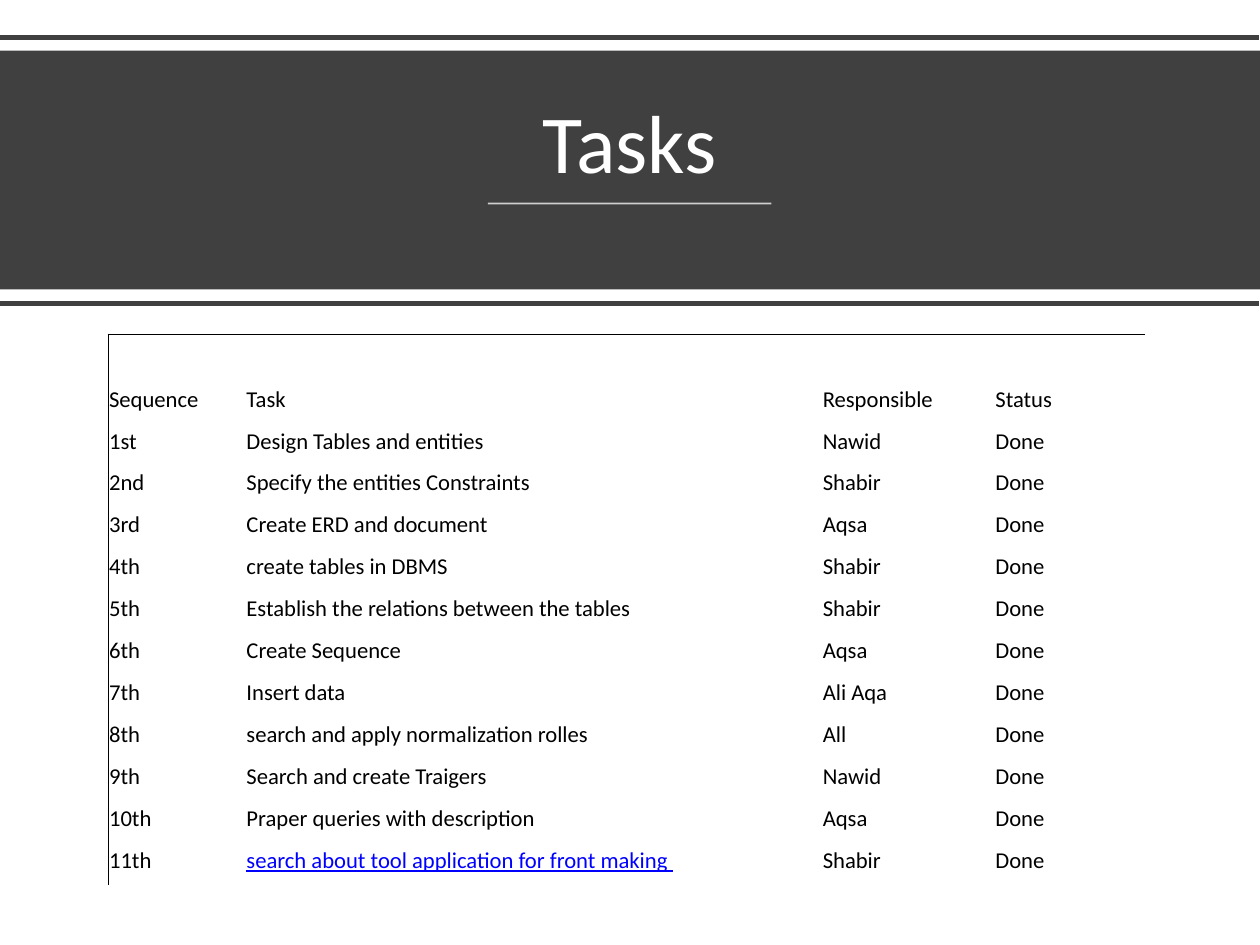
from dataclasses import dataclass

from lxml.etree import SubElement
from pptx import Presentation
from pptx.dml.color import RGBColor
from pptx.enum.shapes import MSO_CONNECTOR, MSO_SHAPE
from pptx.enum.text import MSO_ANCHOR, MSO_AUTO_SIZE, PP_ALIGN
from pptx.oxml.ns import qn
from pptx.util import Emu, Pt

EMU_PER_PX = 9144  # 100 px to the inch
PAGE_WIDTH, PAGE_HEIGHT = 1467, 1100
COLORS = {"band": "404040", "white": "FFFFFF", "text": "000000", "link": "0000FF"}
FONT = "Calibri"
NO_STYLE_NO_GRID = "{2D5ABB26-0587-4C30-8999-92F81FD0307C}"

TABLE_LEFT, TABLE_TOP, TABLE_HEIGHT = 126, 389, 641
TOP_ROW_HEIGHT = 55
COLUMN_WIDTHS = (160, 671, 201, 175)
HEADINGS = ("Sequence", "Task", "Responsible", "Status")
CELL_FORMAT = {
    "vertical_anchor": MSO_ANCHOR.BOTTOM,
    "margin_left": 1,
    "margin_top": 1,
    "margin_right": 1,
    "margin_bottom": 12,
}


@dataclass
class Rule:
    left: int
    right: int
    y: int
    color: str
    points: float
    opacity: int = 100


@dataclass
class Task:
    sequence: str
    name: str
    responsible: str
    status: str = "Done"
    color: str = "text"


RULES = (
    Rule(0, 1466, 44, "band", 4),
    Rule(568, 898, 237, "white", 1.5, 75),
    Rule(0, 1466, 353, "band", 4),
)
TASKS = (
    Task("1st", "Design Tables and entities", "Nawid"),
    Task("2nd", "Specify the entities Constraints", "Shabir"),
    Task("3rd", "Create ERD and document", "Aqsa"),
    Task("4th", "create tables in DBMS", "Shabir"),
    Task("5th", "Establish the relations between the tables", "Shabir"),
    Task("6th", "Create Sequence", "Aqsa"),
    Task("7th", "Insert data", "Ali Aqa"),
    Task("8th", "search and apply normalization rolles", "All"),
    Task("9th", "Search and create Traigers", "Nawid"),
    Task("10th", "Praper queries with description", "Aqsa"),
    Task("11th", "search about tool application for front making ", "Shabir", color="link"),
)


def px(length: float) -> Emu:
    return Emu(round(length * EMU_PER_PX))


def rgb(name: str) -> RGBColor:
    return RGBColor.from_string(COLORS[name])


def write(para, text: str, points: float, color: str, underline: bool = False) -> None:
    span = para.add_run()
    span.text = text
    formats = {"name": FONT, "size": Pt(points), "bold": False, "underline": underline}
    for key, value in formats.items():
        setattr(span.font, key, value)
    span.font.color.rgb = rgb(color)


def draw_rule(page, rule: Rule) -> None:
    line = page.shapes.add_connector(
        MSO_CONNECTOR.STRAIGHT, px(rule.left), px(rule.y), px(rule.right), px(rule.y)
    )
    line.line.color.rgb = rgb(rule.color)
    line.line.width = Pt(rule.points)
    properties = line._element.spPr
    if rule.opacity < 100:
        color = properties.find(".//" + qn("a:srgbClr"))
        SubElement(color, qn("a:alpha"), val=str(rule.opacity * 1000))
    SubElement(properties, qn("a:effectLst"))


def draw_band(page) -> None:
    band = page.shapes.add_shape(
        MSO_SHAPE.RECTANGLE, px(0), px(59), px(PAGE_WIDTH), px(278)
    )
    band.shadow.inherit = False
    band.fill.solid()
    band.fill.fore_color.rgb = rgb("band")
    band.line.fill.background()


def place_title(page) -> None:
    """Fill the title placeholder and raise it above the band."""
    title = page.shapes.title
    page.shapes._spTree.append(title._element)
    box = {"left": 63, "top": 79, "width": 1340, "height": 149}
    for key, value in box.items():
        setattr(title, key, px(value))
    frame = title.text_frame
    frame.auto_size = MSO_AUTO_SIZE.NONE
    frame.vertical_anchor = MSO_ANCHOR.BOTTOM
    para = frame.paragraphs[0]
    formats = {"alignment": PP_ALIGN.CENTER, "line_spacing": 0.9, "space_after": Pt(6)}
    for key, value in formats.items():
        setattr(para, key, value)
    write(para, "Tasks", 69, "white")


def add_border(cell, side: str) -> None:
    properties = cell._tc.get_or_add_tcPr()
    border = SubElement(properties, qn(f"a:ln{side}"), w=str(Pt(1)))
    fill = SubElement(border, qn("a:solidFill"))
    SubElement(fill, qn("a:srgbClr"), val=COLORS["text"])


def fill_cell(cell, text: str, color: str) -> None:
    for key, value in CELL_FORMAT.items():
        setattr(cell, key, px(value) if key.startswith("margin") else value)
    write(cell.text_frame.paragraphs[0], text, 19, color, color == "link")


def draw_tasks(page) -> None:
    row_count = len(TASKS) + 2
    table = page.shapes.add_table(
        row_count, len(COLUMN_WIDTHS), px(TABLE_LEFT), px(TABLE_TOP),
        px(sum(COLUMN_WIDTHS)), px(TABLE_HEIGHT),
    ).table
    table.first_row = table.horz_banding = False
    table._tbl.tblPr.find(qn("a:tableStyleId")).text = NO_STYLE_NO_GRID

    for column, width in zip(table.columns, COLUMN_WIDTHS):
        column.width = px(width)
    row_height = (TABLE_HEIGHT - TOP_ROW_HEIGHT) / (row_count - 1)
    for index, row in enumerate(table.rows):
        row.height = px(row_height if index else TOP_ROW_HEIGHT)
        for position, cell in enumerate(row.cells):
            if position == 0:
                add_border(cell, "L")
            if index == 0:
                add_border(cell, "T")
            cell.fill.background()
    table.cell(0, 0).merge(table.cell(0, len(COLUMN_WIDTHS) - 1))

    for index, task in enumerate((Task(*HEADINGS), *TASKS), start=1):
        texts = (task.sequence, task.name, task.responsible, task.status)
        for position, text in enumerate(texts):
            color = task.color if position == 1 else "text"
            fill_cell(table.cell(index, position), text, color)


def main() -> None:
    deck = Presentation()
    deck.slide_width, deck.slide_height = px(PAGE_WIDTH), px(PAGE_HEIGHT)
    page = deck.slides.add_slide(deck.slide_layouts[5])
    page.background.fill.solid()
    page.background.fill.fore_color.rgb = rgb("white")
    draw_band(page)
    place_title(page)
    for rule in RULES:
        draw_rule(page, rule)
    draw_tasks(page)
    deck.save("out.pptx")


if __name__ == "__main__":
    main()
